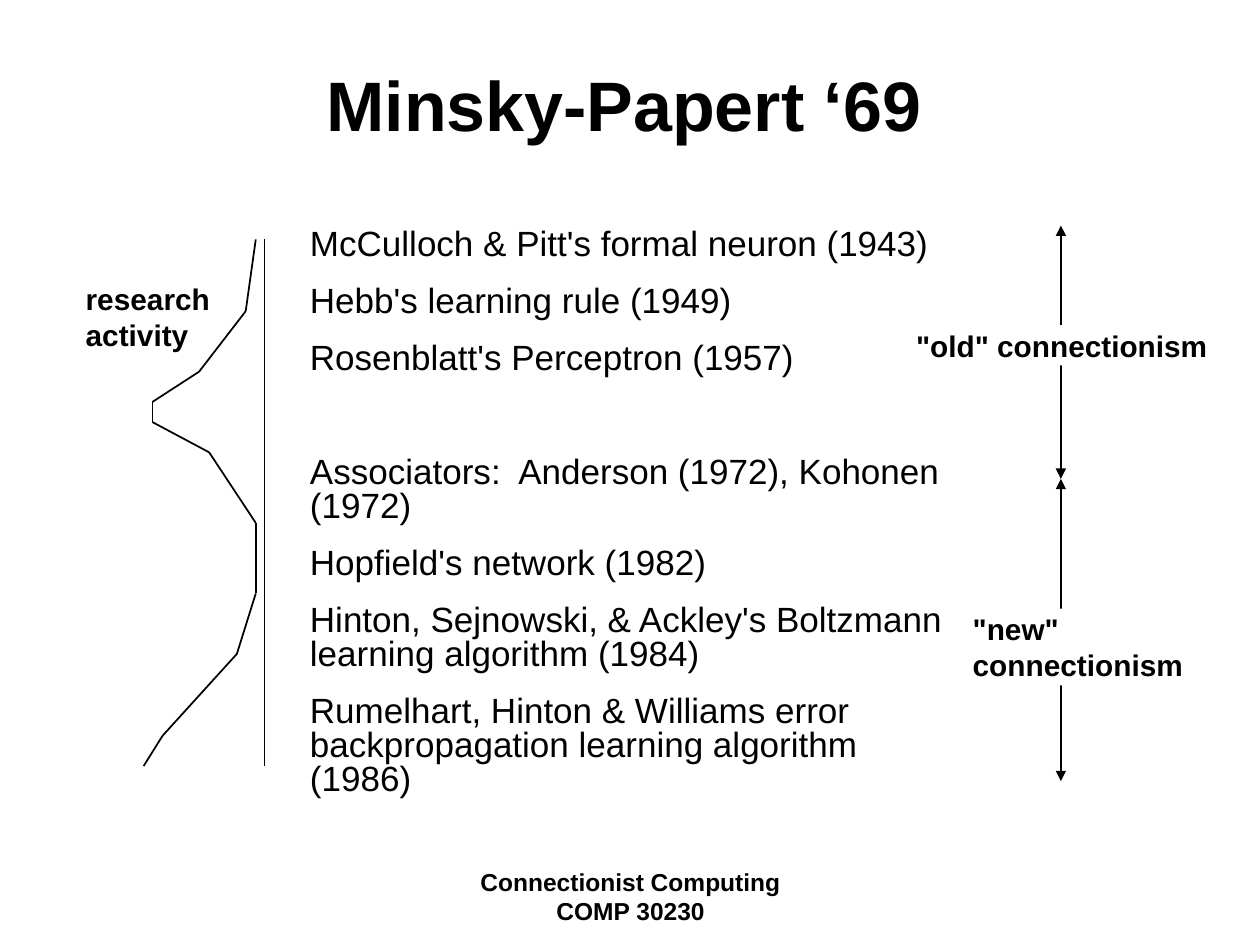
from lxml import etree
from pptx import Presentation
from pptx import util as u
from pptx.dml.color import RGBColor
from pptx.enum import shapes, text
from pptx.oxml.ns import qn

COLORS = {"ink": "000000", "paper": "FFFFFF"}
MILESTONES = [
    "McCulloch & Pitt's formal neuron (1943)",
    "Hebb's learning rule (1949)",
    "Rosenblatt's Perceptron (1957)",
    "Associators:  Anderson (1972), Kohonen (1972)",
    "Hopfield's network (1982)",
    "Hinton, Sejnowski, & Ackley's Boltzmann learning algorithm (1984)",
    "Rumelhart, Hinton & Williams error backpropagation learning algorithm (1986)",
]
LAST_EARLY = 2  # the quiet years follow this milestone
ACTIVITY_CURVE = [
    (2.03, 1.9), (1.95, 2.47), (1.58, 2.95), (1.21, 3.19), (1.21, 3.35), (1.66, 3.59),
    (2.03, 4.15), (2.03, 4.71), (1.88, 5.19), (1.29, 5.84), (1.14, 6.08),
]


def color(name):
    return RGBColor.from_string(COLORS[name])


class SlideBuilder:
    font = "Arial"
    label_size = 17
    line_width = 1

    def __init__(self, slide):
        self.slide = slide

    def set_text(self, shape, content, size, bold=True, align=text.PP_ALIGN.LEFT,
                 wrap=True, insets=(0.05, 0.02)):
        frame = shape.text_frame
        frame.text = content
        frame.word_wrap = wrap
        frame.auto_size = text.MSO_AUTO_SIZE.NONE
        frame.vertical_anchor = text.MSO_ANCHOR.TOP
        frame.margin_left = frame.margin_right = u.Inches(insets[0])
        frame.margin_top = frame.margin_bottom = u.Inches(insets[1])
        for paragraph in frame.paragraphs:
            paragraph.alignment = align
            paragraph.space_before = u.Pt(0)
            for run in paragraph.runs:
                run.font.name = self.font
                run.font.size = u.Pt(size)
                run.font.bold = bold
                run.font.color.rgb = color("ink")
        return frame

    def place(self, shape, box):
        shape.left, shape.top, shape.width, shape.height = map(u.Inches, box)

    def title(self, content, box):
        shape = self.slide.shapes.title
        self.place(shape, box)
        self.set_text(shape, content, 40, align=text.PP_ALIGN.CENTER, wrap=False)

    def body(self, items, box):
        shape = self.slide.placeholders[1]
        self.place(shape, box)
        frame = self.set_text(shape, "\n".join(items), 20, bold=False)
        for index, paragraph in enumerate(frame.paragraphs):
            paragraph.line_spacing = 0.8
            paragraph.space_after = u.Pt(46 if index == LAST_EARLY else 13.5)
            properties = paragraph._p.get_or_add_pPr()
            properties.set("marL", "0")
            properties.set("indent", "0")
            etree.SubElement(properties, qn("a:buNone"))

    def text_box(self, content, box, size=label_size, **style):
        shape = self.slide.shapes.add_textbox(*map(u.Inches, box))
        self.set_text(shape, content, size, **style)

    def filled_label(self, content, box, **style):
        shape = self.slide.shapes.add_shape(shapes.MSO_SHAPE.RECTANGLE, *map(u.Inches, box))
        shape.shadow.inherit = False
        shape.fill.solid()
        shape.fill.fore_color.rgb = color("paper")
        shape.line.fill.background()
        self.set_text(shape, content, self.label_size, **style)

    def line(self, start, end, arrows=False):
        connector = self.slide.shapes.add_connector(
            shapes.MSO_CONNECTOR.STRAIGHT, *map(u.Inches, (*start, *end)))
        connector.line.color.rgb = color("ink")
        connector.line.width = u.Pt(self.line_width)
        if arrows:
            outline = connector.line._get_or_add_ln()
            for tag in ("a:headEnd", "a:tailEnd"):
                etree.SubElement(outline, qn(tag), type="triangle")
        etree.SubElement(connector._element.spPr, qn("a:effectLst"))


def main():
    presentation = Presentation()
    presentation.slide_width = u.Inches(10)
    presentation.slide_height = u.Inches(7.5)
    slide = presentation.slides.add_slide(presentation.slide_layouts[1])
    builder = SlideBuilder(slide)

    # Footer, title and milestones
    builder.text_box("Connectionist Computing COMP 30230", (3.42, 6.83, 3.17, 0.5), size=14,
                     align=text.PP_ALIGN.CENTER, insets=(0.1, 0.05))
    builder.title("Minsky-Papert ‘69", (2.54, 0.47, 4.82, 0.71))
    builder.body(MILESTONES, (2.41, 1.8, 5.19, 4.62))

    # The two eras, meeting at one point
    for era_end in (1.79, 6.2):
        builder.line((8.42, 3.8), (8.42, era_end), arrows=True)
    builder.filled_label('"old" connectionism', (7.22, 2.58, 2.41, 0.32), wrap=False)
    builder.filled_label('"new" connectionism', (7.67, 4.83, 1.86, 0.61))

    # Research activity along the time axis
    for start, end in zip(ACTIVITY_CURVE, ACTIVITY_CURVE[1:]):
        builder.line(start, end)
    builder.line((2.1, 1.9), (2.1, 6.08))
    builder.text_box("research\nactivity", (0.63, 2.21, 1.08, 0.61), wrap=False)

    presentation.save("out.pptx")


if __name__ == "__main__":
    main()
